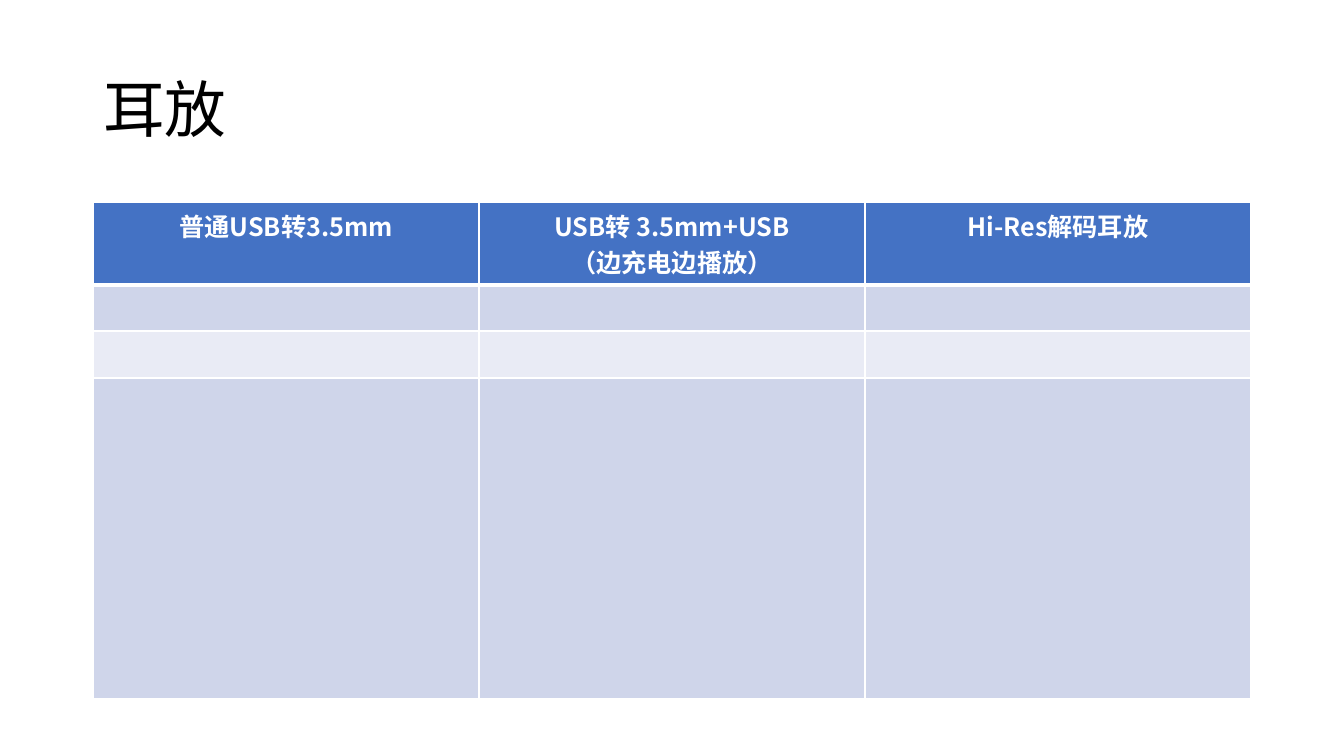
from lxml import etree
from pptx import Presentation
from pptx import util as u
from pptx.dml.color import RGBColor
from pptx.enum import text
from pptx.oxml.ns import qn

PX = 12192000 / 1344  # EMU per px
FONT = "Noto Sans CJK SC"
WHITE = "FFFFFF"
LEFT, WIDTH = 93, 1158

HEADERS = ["普通USB转3.5mm", "USB转 3.5mm+USB\n（边充电边播放）", "Hi-Res解码耳放"]
ROW_HEIGHTS = [82, 46, 47, 321]
ROW_FILLS = ["4472C4", "CFD5EA", "E9EBF5", "CFD5EA"]


def px(n):
    return u.Emu(round(n * PX))


def color(hex_code):
    return RGBColor.from_string(hex_code)


def write(tf, content, size=18, fill="000000", bold=False,
          align=text.PP_ALIGN.LEFT, spacing=1.0):
    tf.text = content
    for p in tf.paragraphs:
        p.alignment = align
        p.line_spacing = spacing
        for r in p.runs:
            r.font.size = u.Pt(size)
            r.font.bold = bold
            r.font.name = FONT
            r.font.color.rgb = color(fill)
            # East Asian typeface
            ea = etree.SubElement(r.font._element, qn("a:ea"))
            ea.set("typeface", FONT)


def add_border(cell, side, width):
    tc_pr = cell._tc.get_or_add_tcPr()
    ln = etree.SubElement(tc_pr, qn(f"a:ln{side}"), w=str(u.Pt(width)))
    fill = etree.SubElement(ln, qn("a:solidFill"))
    etree.SubElement(fill, qn("a:srgbClr"), val=WHITE)


def format_cell(cell, row):
    # Thick rule between the header and the body
    widths = {"L": 1, "R": 1, "T": 3 if row == 1 else 1, "B": 3 if row == 0 else 1}
    for side, width in widths.items():
        add_border(cell, side, width)
    cell.fill.solid()
    cell.fill.fore_color.rgb = color(ROW_FILLS[row])


def add_title(s, content):
    title = s.shapes.title
    title.left, title.top = px(LEFT), px(40)
    title.width, title.height = px(WIDTH), px(146)
    tf = title.text_frame
    tf.vertical_anchor = text.MSO_ANCHOR.MIDDLE
    write(tf, content, size=44, spacing=0.9)


def add_comparison_table(s):
    frame = s.shapes.add_table(len(ROW_HEIGHTS), len(HEADERS), px(LEFT), px(202),
                               px(WIDTH), px(sum(ROW_HEIGHTS)))
    table = frame.table
    for row, height in enumerate(ROW_HEIGHTS):
        table.rows[row].height = px(height)
        for col in range(len(HEADERS)):
            format_cell(table.cell(row, col), row)
    for col, header in enumerate(HEADERS):
        write(table.cell(0, col).text_frame, header, fill=WHITE, bold=True,
              align=text.PP_ALIGN.CENTER)


def main():
    prs = Presentation()
    prs.slide_width, prs.slide_height = px(1344), px(756)
    s = prs.slides.add_slide(prs.slide_layouts[5])
    add_title(s, "耳放")
    add_comparison_table(s)
    prs.save("out.pptx")


if __name__ == "__main__":
    main()
